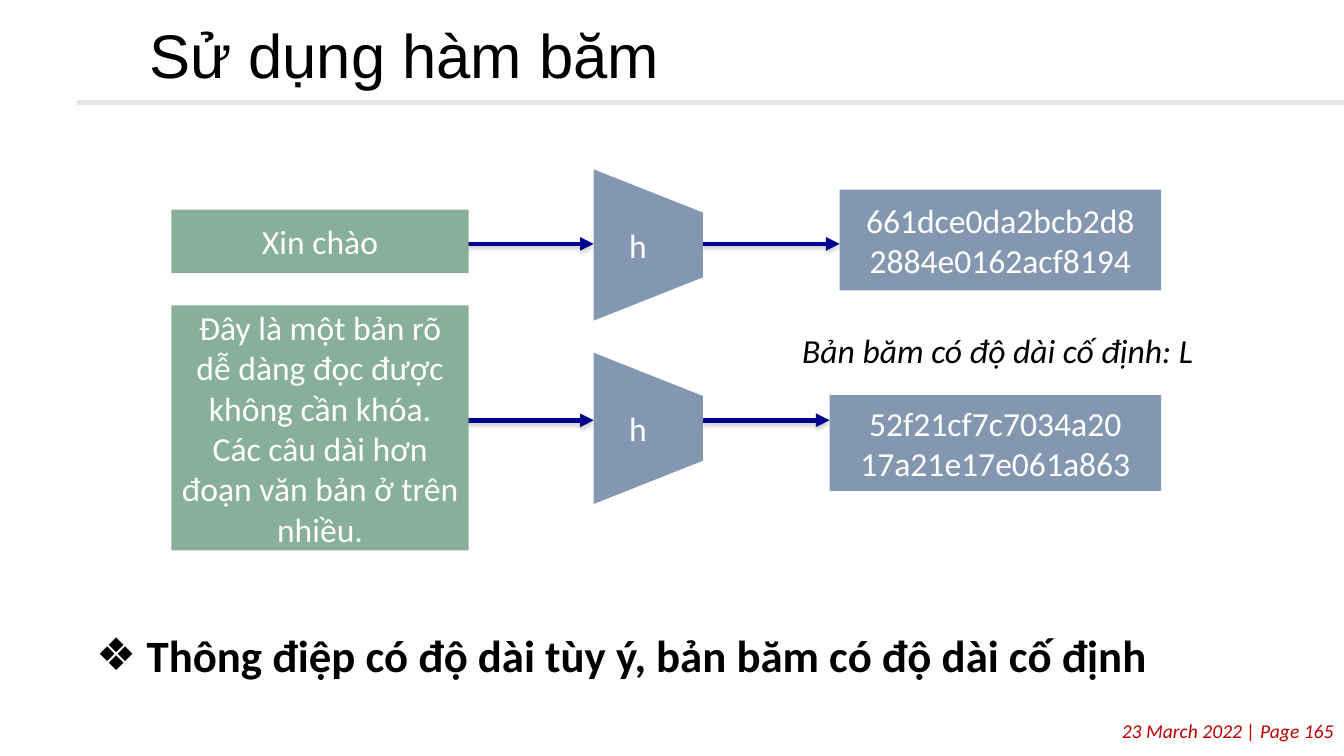
from lxml import etree
from pptx import Presentation
from pptx.dml.color import RGBColor
from pptx.enum import shapes, text
from pptx.oxml import ns
from pptx.util import Pt

COLORS = {"ink": "000000", "rule": "E7E6E6", "message": "87AF9A", "hash": "8497B0",
          "arrow": "000090", "shadow": "808080", "footer": "C00000", "white": "FFFFFF"}
HASH_X, HASH_W, HASH_H = 424.1, 78, 108  # hash function, as it stands on the slide
MESSAGE_X, MESSAGE_W = 122.4, 212.4
DIGEST_RIGHT = 829.4
ARROW_START = 322.6  # tucked under the message boxes


def rgb(name):
    return RGBColor.from_string(COLORS[name])


def add_xml(parent, tag, **attributes):
    return etree.SubElement(parent, ns.qn(tag), attributes)


def write(frame, words, size, color, font="Calibri", align=text.PP_ALIGN.LEFT,
          anchor=text.MSO_ANCHOR.TOP, bold=False, italic=False, wrap=True):
    frame.word_wrap = wrap
    frame.vertical_anchor = anchor
    paragraph = frame.paragraphs[0]
    paragraph.text = words
    paragraph.alignment = align
    for run in paragraph.runs:
        run.font.name, run.font.size = font, Pt(size)
        run.font.bold, run.font.italic = bold, italic
        run.font.color.rgb = rgb(color)
    return paragraph


def add_label(slide, box, words, size, color, **style):
    label = slide.shapes.add_textbox(*map(Pt, box))
    return write(label.text_frame, words, size, color, **style)


def add_block(slide, box, color, words="", kind=shapes.MSO_SHAPE.RECTANGLE):
    block = slide.shapes.add_shape(kind, *map(Pt, box))
    block.shadow.inherit = False
    block.fill.solid()
    block.fill.fore_color.rgb = rgb(color)
    block.line.fill.background()
    if words:
        write(block.text_frame, words, 24, "white", align=text.PP_ALIGN.CENTER,
              anchor=text.MSO_ANCHOR.MIDDLE)
    return block


def add_hash_function(slide, left, top, width, height):
    """Draw a trapezoid turned a quarter, with its label kept upright."""
    box = (left + (width - height) / 2, top + (height - width) / 2, height, width)
    funnel = add_block(slide, box, "hash", "h", shapes.MSO_SHAPE.TRAPEZOID)
    funnel.rotation = 90
    funnel.adjustments[0] = 0.396
    funnel.text_frame._txBody.bodyPr.set("vert", "vert270")


def add_arrow(slide, start, end, y):
    arrow = slide.shapes.add_connector(shapes.MSO_CONNECTOR.STRAIGHT,
                                       Pt(start), Pt(y), Pt(end), Pt(y))
    arrow.line.color.rgb = rgb("arrow")
    arrow.line.width = Pt(3.25)
    add_xml(arrow.line._get_or_add_ln(), "a:tailEnd", type="triangle")
    effects = add_xml(arrow._element.spPr, "a:effectLst")
    shadow = add_xml(effects, "a:outerShdw", blurRad=str(Pt(3)), dist=str(Pt(2)),
                     dir="5400000", rotWithShape="0")
    tint = add_xml(shadow, "a:srgbClr", val=COLORS["shadow"])
    add_xml(tint, "a:alpha", val="40000")


def add_hash_row(slide, top, arrow_y, message, message_span, digest, digest_box):
    """Draw message, hash function and digest; message_span is top and height."""
    digest_left, digest_top, digest_height = digest_box
    add_hash_function(slide, HASH_X, top, HASH_W, HASH_H)
    add_arrow(slide, ARROW_START, HASH_X, arrow_y)
    add_arrow(slide, HASH_X + HASH_W, digest_left, arrow_y)
    message_top, message_height = message_span
    add_block(slide, (MESSAGE_X, message_top, MESSAGE_W, message_height),
              "message", message)
    add_block(slide, (digest_left, digest_top, DIGEST_RIGHT - digest_left, digest_height),
              "hash", digest)


def add_header(slide, left, top, width, height):
    add_block(slide, (54.7, 71.3, 905.3, 3.6), "rule")
    title = add_label(slide, (left, top, width, height), "Sử dụng hàm băm", 44, "ink",
                      font="Arial", anchor=text.MSO_ANCHOR.MIDDLE)
    title.line_spacing = 0.9


def add_conclusion(slide, left, top, width, height):
    body = slide.shapes.add_textbox(Pt(left), Pt(top), Pt(width), Pt(height))
    frame = body.text_frame
    frame.margin_top = frame.margin_bottom = Pt(7.2)
    conclusion = write(frame, "Thông điệp có độ dài tùy ý, bản băm có độ dài cố định",
                       32, "ink", bold=True)
    conclusion.line_spacing = 1.3
    properties = conclusion._p.get_or_add_pPr()
    properties.set("marL", str(Pt(48)))
    properties.set("indent", str(Pt(-36)))
    add_xml(properties, "a:buFont", typeface="Arial")
    add_xml(properties, "a:buChar", char="❖")


def add_footer(slide, left, top, width, height):
    add_label(slide, (left, top, width, height), "23 March 2022 | Page 165", 14, "footer",
              align=text.PP_ALIGN.RIGHT, italic=True)


def main():
    deck = Presentation()
    deck.slide_width, deck.slide_height = Pt(960), Pt(540)
    slide = deck.slides.add_slide(deck.slide_layouts[6])
    add_footer(slide, 3.6, 509.8, 956.4, 24.5)
    add_header(slide, 99.4, 13.7, 855.4, 56.2)
    add_conclusion(slide, 49.7, 429.8, 905, 63.4)
    add_hash_row(slide, 121, 174.2, "Xin chào", (149.8, 45.4),
                 "661dce0da2bcb2d8\v2884e0162acf8194", (599.8, 135.4, 72))
    add_hash_row(slide, 252, 300.2,
                 "Đây là một bản rõ dễ dàng đọc được không cần khóa. "
                 "Các câu dài hơn đoạn văn bản ở trên nhiều.", (218.2, 175),
                 "52f21cf7c7034a20\v17a21e17e061a863", (592.6, 282.2, 68.4))
    add_label(slide, (565.9, 231.8, 296.6, 36), "Bản băm có độ dài cố định: L",
              24, "ink", italic=True, wrap=False)
    deck.save("out.pptx")


if __name__ == "__main__":
    main()
